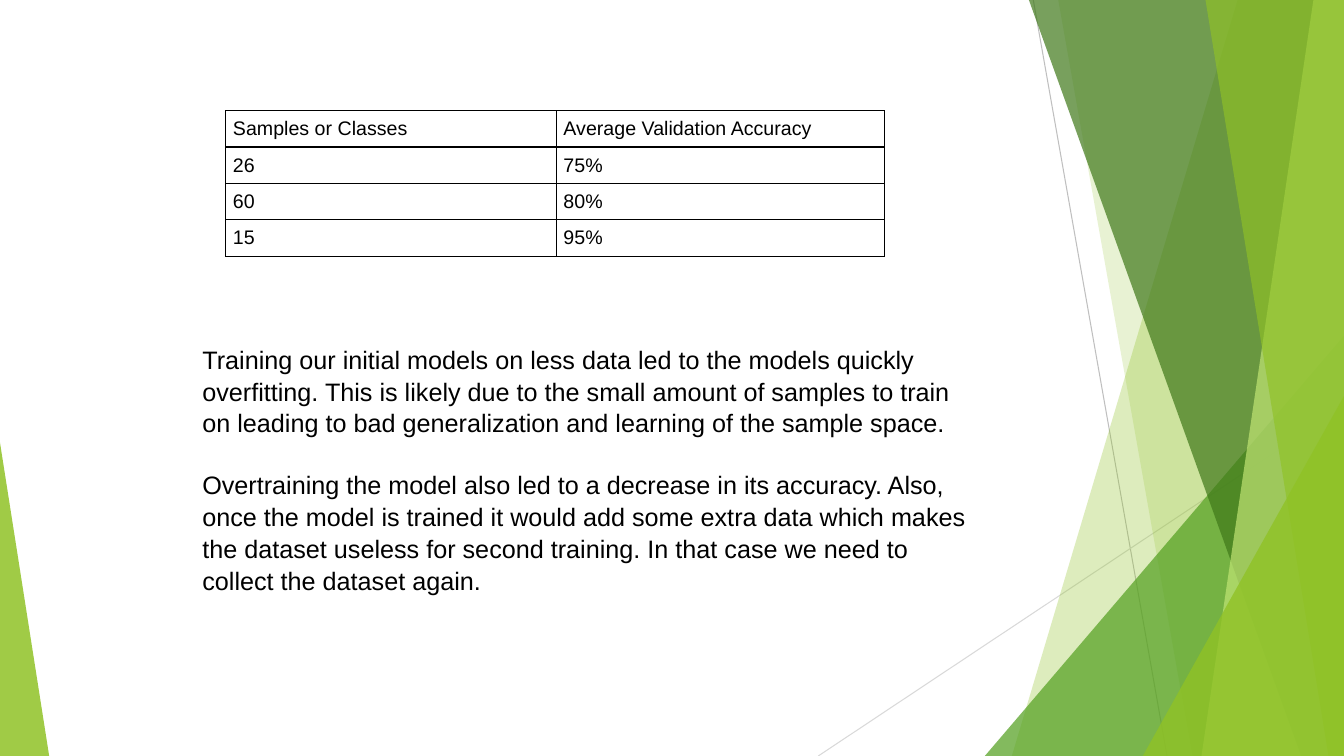
import pptx
import pptx.dml.color
import pptx.enum.shapes
import pptx.oxml
import pptx.oxml.ns
import pptx.util
from pptx.util import Cm

WIDTH, HEIGHT = 33.87, 19.05
COLORS = {
    "text": "000000",
    "steep_line": "BFBFBF",
    "flat_line": "D9D9D9",
    "lime": "90C226",
    "green": "54A021",
    "dark_green": "3F7819",
    "pale_lime": "C0E474",
}
ACCURACY = [
    ("Samples or Classes", "Average Validation Accuracy"),
    ("26", "75%"),
    ("60", "80%"),
    ("15", "95%"),
]
FINDINGS = [
    "Training our initial models on less data led to the models quickly "
    "overfitting. This is likely due to the small amount of samples to train "
    "on leading to bad generalization and learning of the sample space.",
    "Overtraining the model also led to a decrease in its accuracy. Also, "
    "once the model is trained it would add some extra data which makes "
    "the dataset useless for second training. In that case we need to "
    "collect the dataset again.",
]


def rgb(name):
    return pptx.dml.color.RGBColor.from_string(COLORS[name])


def add_xml(parent, tag, content="", **attributes):
    attrs = "".join(f' {key}="{value}"' for key, value in attributes.items())
    ns = pptx.oxml.ns.nsdecls("a")
    parent.append(pptx.oxml.parse_xml(f"<a:{tag} {ns}{attrs}>{content}</a:{tag}>"))


def write(p, text, size=18, font="Arial", color="text", before=0, spacing=1.0):
    p.space_before = pptx.util.Pt(before)
    p.line_spacing = spacing
    r = p.add_run()
    r.text = text
    r.font.size = pptx.util.Pt(size)
    r.font.name = font
    r.font.color.rgb = rgb(color)


def paint(sp, color, opacity):
    """Fill a shape with a translucent colour, without line or shadow."""
    sp.shadow.inherit = False
    sp.line.fill.background()
    sp.fill.solid()
    sp.fill.fore_color.rgb = rgb(color)
    srgb = sp.fill._xPr.find(".//" + pptx.oxml.ns.qn("a:srgbClr"))
    add_xml(srgb, "alpha", val=opacity * 1000)


def add_hairline(s, x1, y1, x2, y2, color):
    line = s.shapes.add_connector(
        pptx.enum.shapes.MSO_CONNECTOR.STRAIGHT, Cm(x1), Cm(y1), Cm(x2), Cm(y2))
    line.line.color.rgb = rgb(color)
    line.line.width = pptx.util.Pt(0.75)
    add_xml(line._element.spPr, "effectLst")


def add_band(s, top_x, bottom_x, color, opacity):
    """Add a full-height band from a slanted left edge to the slide's right edge."""
    builder = s.shapes.build_freeform(Cm(top_x), 0)
    corners = [(WIDTH, 0), (WIDTH, HEIGHT), (bottom_x, HEIGHT)]
    builder.add_line_segments([(Cm(x), Cm(y)) for x, y in corners])
    paint(builder.convert_to_shape(), color, opacity)


def add_corner(s, left, top, width, apex, color, opacity):
    """Add a triangle that stands on the slide's bottom edge."""
    sp = s.shapes.add_shape(
        pptx.enum.shapes.MSO_SHAPE.ISOSCELES_TRIANGLE,
        Cm(left), Cm(top), Cm(width), Cm(HEIGHT - top))
    sp.adjustments[0] = apex
    paint(sp, color, opacity)


def add_decoration(s):
    add_hairline(s, 26.04, 0, 29.41, HEIGHT, "steep_line")
    add_hairline(s, WIDTH, 10.24, 20.62, HEIGHT, "flat_line")
    add_band(s, 31.19, 25.5, "lime", 30)
    add_band(s, 26.67, 30.05, "lime", 20)
    add_corner(s, 24.82, 8.46, 9.05, 1, "green", 72)
    add_band(s, 25.93, 32.79, "dark_green", 70)
    add_band(s, 33.1, 30.28, "pale_lime", 70)
    add_band(s, 30.38, 33.48, "lime", 65)
    add_corner(s, 28.8, 9.98, 5.07, 1, "lime", 80)
    add_corner(s, 0, 11.15, 1.24, 0, "lime", 85)


def format_cell(cell):
    cell.margin_left = cell.margin_right = Cm(0.18)
    cell.margin_top = cell.margin_bottom = Cm(0.18)
    tc_pr = cell._tc.get_or_add_tcPr()
    color = f'<a:solidFill><a:srgbClr val="{COLORS["text"]}"/></a:solidFill>'
    for side in ("lnL", "lnR", "lnT", "lnB"):
        add_xml(tc_pr, side, color, w=12700)
    cell.fill.background()


def add_table(s, rows, left, top, widths, row_height):
    table = s.shapes.add_table(
        len(rows), len(widths), Cm(left), Cm(top),
        Cm(sum(widths)), Cm(row_height * len(rows))).table
    table.first_row = table.horz_banding = False
    for column, width in zip(table.columns, widths):
        column.width = Cm(width)
    for i, row in enumerate(rows):
        for j, text in enumerate(row):
            cell = table.cell(i, j)
            format_cell(cell)
            write(cell.text_frame.paragraphs[0], text, size=14)


def add_text(s, paragraphs, left, top, width, height):
    tf = s.shapes.add_textbox(Cm(left), Cm(top), Cm(width), Cm(height)).text_frame
    tf.word_wrap = True
    for i, text in enumerate(paragraphs):
        p = tf.add_paragraph() if i else tf.paragraphs[0]
        write(p, text, before=21.7 if i else 0, spacing=1.05)


def main():
    prs = pptx.Presentation()
    prs.slide_width, prs.slide_height = Cm(WIDTH), Cm(HEIGHT)
    s = prs.slides.add_slide(prs.slide_layouts[6])
    add_decoration(s)
    add_table(s, ACCURACY, 5.69, 2.79, (8.33, 8.26), 0.91)
    add_text(s, FINDINGS, 4.85, 8.51, 19.79, 7.95)
    prs.save("out.pptx")


if __name__ == "__main__":
    main()
